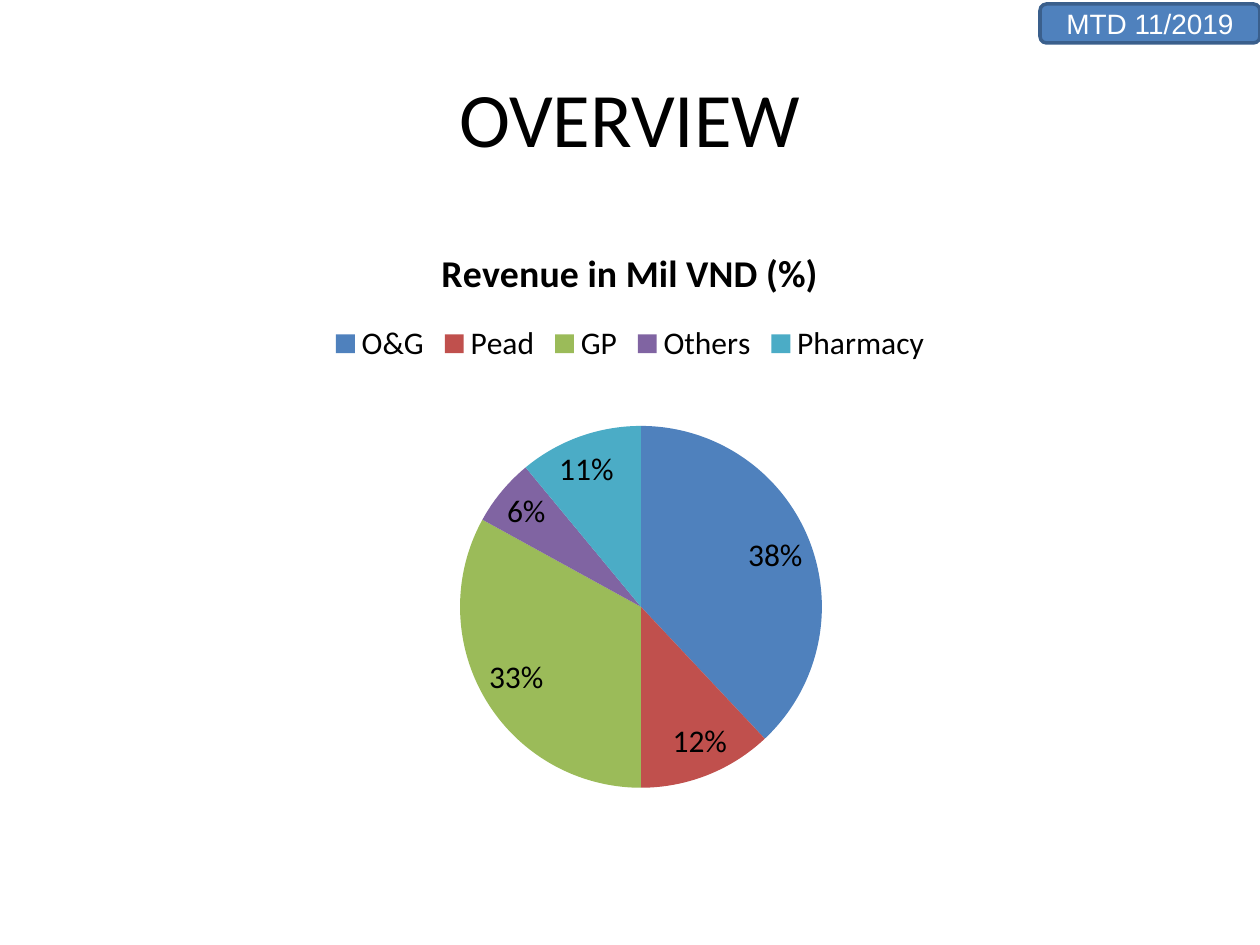
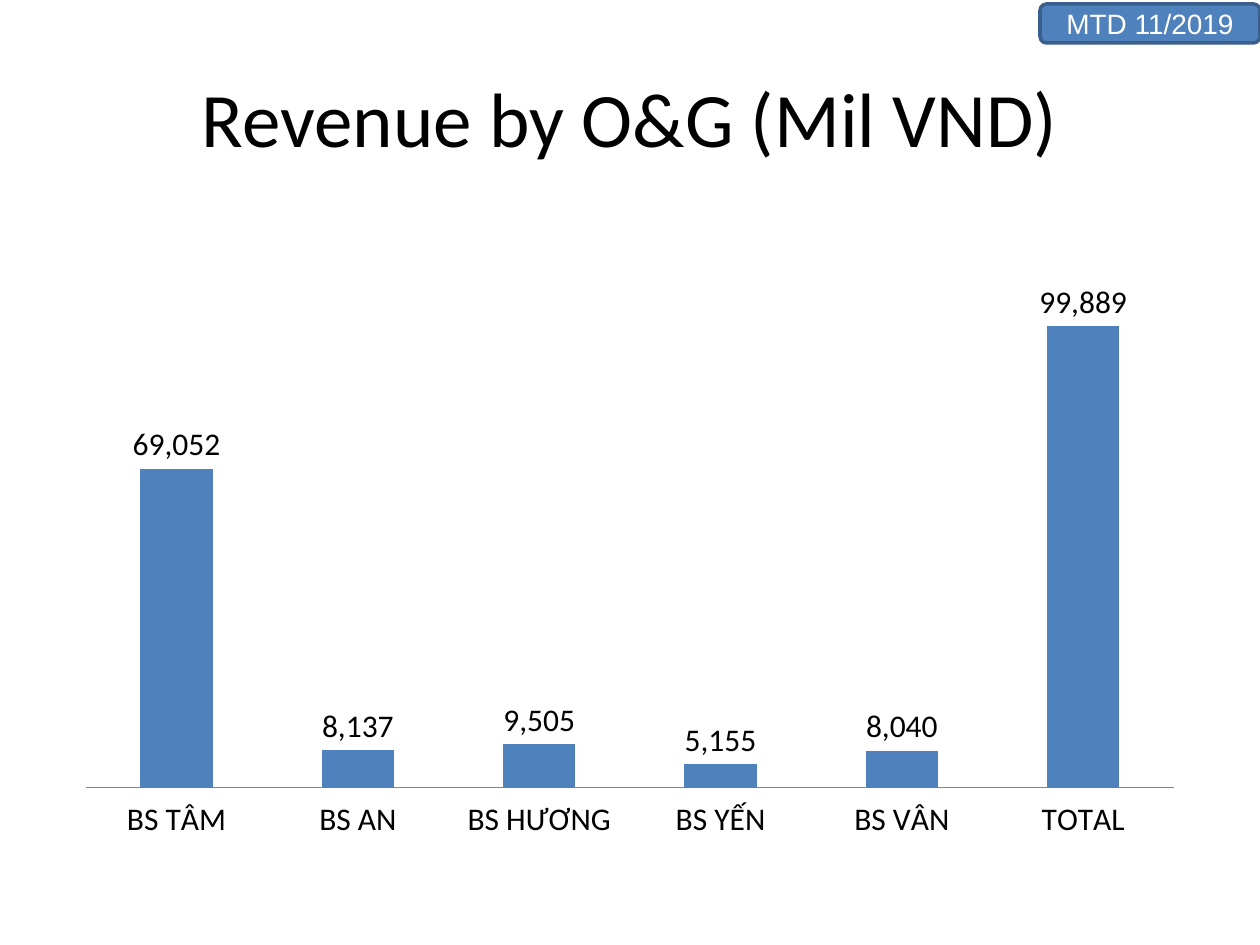
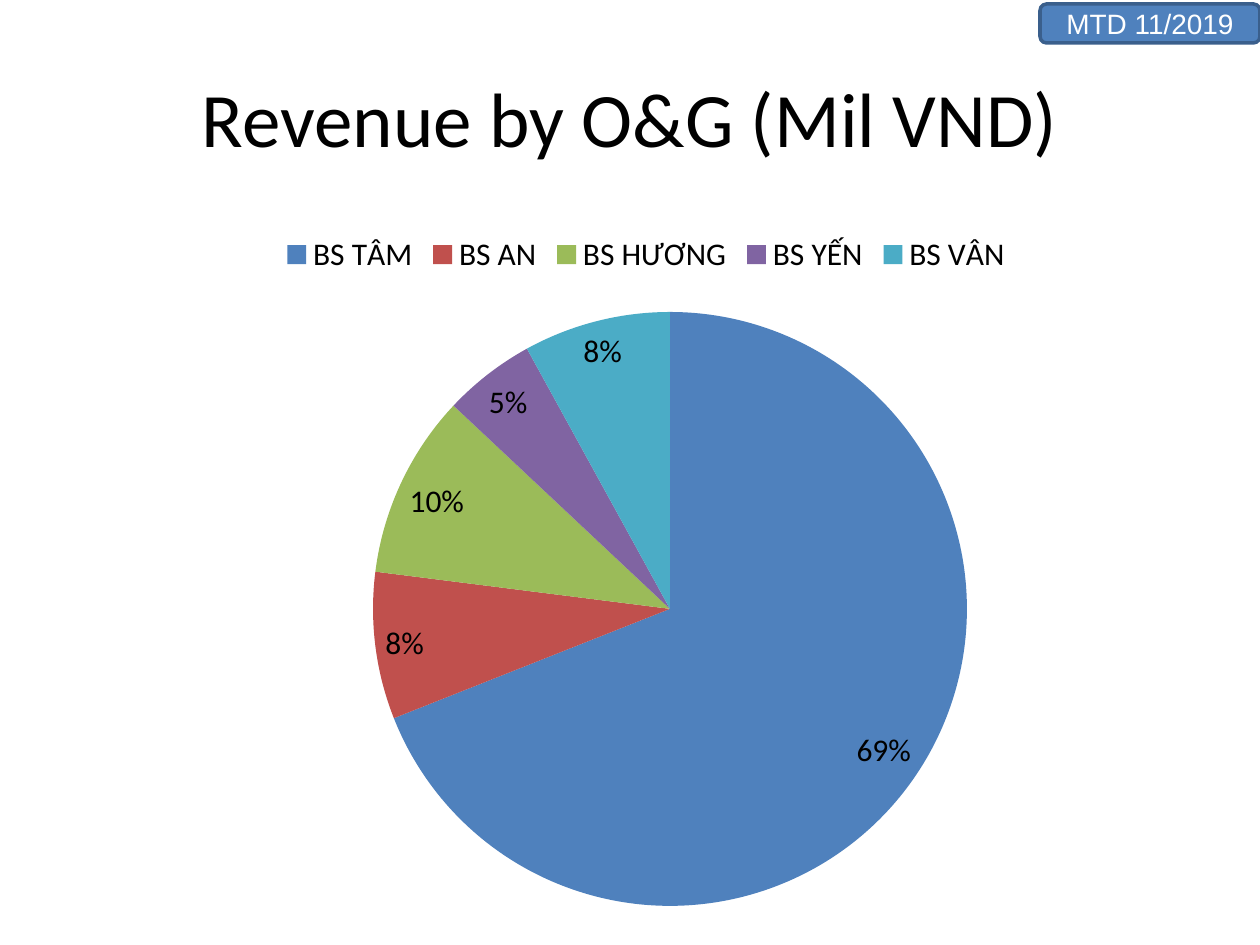
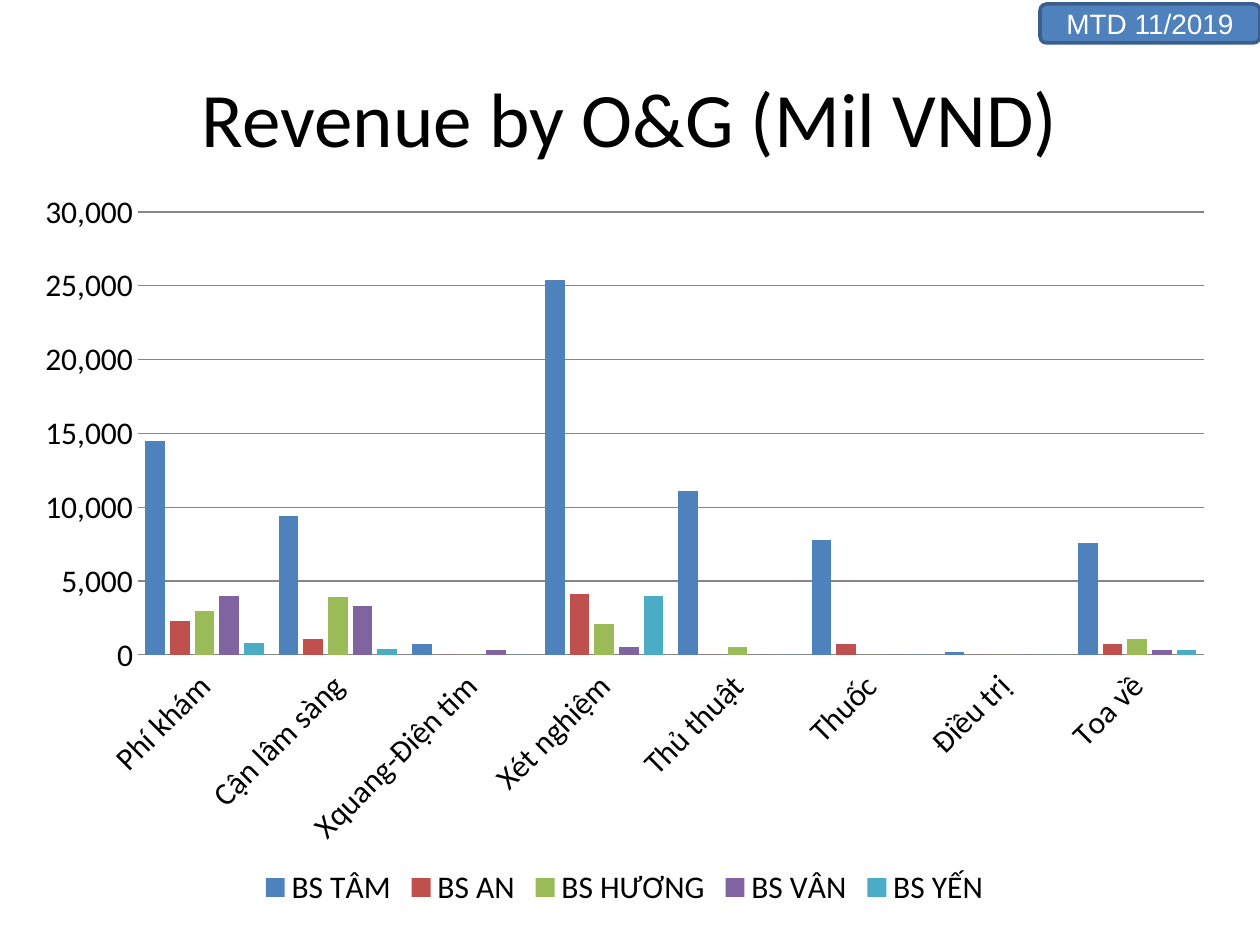
from lxml import etree
from pptx import Presentation
from pptx.chart.data import CategoryChartData
from pptx.dml.color import RGBColor
from pptx.enum.chart import XL_CHART_TYPE, XL_LABEL_POSITION, XL_LEGEND_POSITION, XL_TICK_LABEL_POSITION, XL_TICK_MARK
from pptx.enum.shapes import MSO_SHAPE
from pptx.enum.text import MSO_ANCHOR, PP_ALIGN
from pptx.oxml.ns import qn
from pptx.util import Emu, Pt

PIE = XL_CHART_TYPE.PIE
COLUMN = XL_CHART_TYPE.COLUMN_CLUSTERED
BEST_FIT = XL_LABEL_POSITION.BEST_FIT
OUTSIDE_END = XL_LABEL_POSITION.OUTSIDE_END
LEGEND_TOP = XL_LEGEND_POSITION.TOP
LEGEND_BOTTOM = XL_LEGEND_POSITION.BOTTOM
LABELS_LOW = XL_TICK_LABEL_POSITION.LOW
NO_TICK = XL_TICK_MARK.NONE
ROUNDED = MSO_SHAPE.ROUNDED_RECTANGLE
MIDDLE = MSO_ANCHOR.MIDDLE
CENTER = PP_ALIGN.CENTER

PIXEL = 914400 // 126
PALETTE = ["4F81BD", "C0504D", "9BBB59", "8064A2", "4BACC6"]
BLACK, WHITE, GREY, BADGE_LINE = "000000", "FFFFFF", "868686", "3A5F8C"
FONT, BADGE_FONT = "Calibri", "Arial"
THOUSANDS = "#,##0"
BADGE_BOX = (1040, 4, 220, 39)
TITLE_BOX = (63, 38, 1134, 157)
BODY_BOX = (63, 220, 1134, 624)
REVENUE_TITLE = "Revenue by O&G (Mil VND)"


def color(value):
    """Turn a hex string into a colour."""
    return RGBColor.from_string(value)


def place(box):
    """Turn a pixel box into EMU lengths."""
    return [Emu(length * PIXEL) for length in box]


def style_font(font, size, name=FONT, fill=BLACK, bold=False):
    """Set size, typeface, colour and weight of a font."""
    font.size, font.name, font.bold = Pt(size), name, bold
    font.color.rgb = color(fill)


def write_centered(shape, text, size, name, fill):
    """Write one centred line into a shape."""
    frame = shape.text_frame
    frame.word_wrap = True
    frame.vertical_anchor = MIDDLE
    paragraph = frame.paragraphs[0]
    paragraph.alignment = CENTER
    run = paragraph.add_run()
    run.text = text
    style_font(run.font, size, name, fill)


def add_badge(slide, box):
    """Draw the period badge."""
    badge = slide.shapes.add_shape(ROUNDED, *place(box))
    badge.shadow.inherit = False
    badge.fill.solid()
    badge.fill.fore_color.rgb = color(PALETTE[0])
    badge.line.color.rgb = color(BADGE_LINE)
    badge.line.width = Pt(2)
    write_centered(badge, "MTD 11/2019", 16, BADGE_FONT, WHITE)


def start_slide(presentation, title):
    """Add a slide with its badge and title."""
    slide = presentation.slides.add_slide(presentation.slide_layouts[6])
    add_badge(slide, BADGE_BOX)
    write_centered(slide.shapes.add_textbox(*place(TITLE_BOX)), title, 44, FONT, BLACK)
    return slide


def set_plot_box(chart, box, plot):
    """Fix the inner plot area, given relative to the chart box."""
    area = chart.plots[0]._element.getparent()
    for old in area.findall(qn("c:layout")):
        area.remove(old)
    layout = etree.Element(qn("c:layout"))
    area.insert(0, layout)
    manual = etree.SubElement(layout, qn("c:manualLayout"))
    sizes = (box[2], box[3]) * 2
    settings = [("layoutTarget", "inner"), ("xMode", "edge"), ("yMode", "edge")]
    settings += [(key, f"{length / size:.4f}") for key, length, size in zip("xywh", plot, sizes)]
    for key, value in settings:
        etree.SubElement(manual, qn(f"c:{key}")).set("val", value)


def add_chart(slide, kind, box, plot, categories, series, legend=None):
    """Add a chart with shared font, legend and plot box."""
    data = CategoryChartData(number_format=THOUSANDS)
    data.categories = categories
    for name, values in series:
        data.add_series(name, values)
    chart = slide.shapes.add_chart(kind, *place(box), data).chart
    style_font(chart.font, 18)
    chart.has_title = False
    chart.has_legend = legend is not None
    if legend is not None:
        chart.legend.position = legend
        chart.legend.include_in_layout = False
    set_plot_box(chart, box, plot)
    return chart


def add_labels(plot, number_format, position):
    """Show data labels on a plot."""
    plot.has_data_labels = True
    labels = plot.data_labels
    labels.number_format = number_format
    labels.number_format_is_linked = False
    labels.position = position
    style_font(labels.font, 18)
    return labels


def add_pie(slide, box, plot, categories, values, title=None):
    """Add a pie of shares with percent labels."""
    chart = add_chart(slide, PIE, box, plot, categories, [("Series 1", values)], LEGEND_TOP)
    pie = chart.plots[0]
    pie.vary_by_categories = True
    for index, fill in enumerate(PALETTE):
        point = pie.series[0].points[index].format.fill
        point.solid()
        point.fore_color.rgb = color(fill)
    labels = add_labels(pie, "0%", BEST_FIT)
    labels.show_percentage = True
    labels.show_value = False
    if title:
        chart.has_title = True
        run = chart.chart_title.text_frame.paragraphs[0].add_run()
        run.text = title
        style_font(run.font, 21.6, bold=True)


def add_columns(slide, box, plot, categories, series, top, gap, legend=None):
    """Add clustered columns on a scale from zero to top."""
    chart = add_chart(slide, COLUMN, box, plot, categories, series, legend)
    columns = chart.plots[0]
    columns.vary_by_categories = False
    columns.gap_width, columns.overlap = gap, -25
    for group, fill in zip(columns.series, PALETTE):
        group.format.fill.solid()
        group.format.fill.fore_color.rgb = color(fill)
    chart.category_axis.major_tick_mark = NO_TICK
    chart.category_axis.tick_label_position = LABELS_LOW
    chart.category_axis.format.line.color.rgb = color(GREY)
    axis = chart.value_axis
    axis.minimum_scale, axis.maximum_scale = 0, top
    axis.major_tick_mark = NO_TICK
    axis.has_major_gridlines = False
    return chart


def add_total_columns(slide, box, plot, categories, values):
    """Add labelled columns without a value axis."""
    chart = add_columns(slide, box, plot, categories, [("Series 1", values)], 120000, 150)
    chart.value_axis.visible = False
    add_labels(chart.plots[0], THOUSANDS, OUTSIDE_END).show_value = True


def add_service_columns(slide, box, plot, categories, series):
    """Add columns by service with gridlines and slanted names."""
    chart = add_columns(slide, box, plot, categories, series, 30000, 75, LEGEND_BOTTOM)
    axis = chart.value_axis
    axis.major_unit = 5000
    axis.has_major_gridlines = True
    axis.major_gridlines.format.line.color.rgb = color(GREY)
    axis.format.line.fill.background()
    axis.tick_labels.number_format = THOUSANDS
    axis.tick_labels.number_format_is_linked = False
    style_font(chart.category_axis.tick_labels.font, 18)
    chart.category_axis._element.find(qn("c:txPr")).find(qn("a:bodyPr")).set("rot", "-2700000")


def main():
    """Build the four slides and save them."""
    presentation = Presentation()
    presentation.slide_width, presentation.slide_height = place((1260, 945))
    doctors = ["BS TÂM", "BS AN", "BS HƯƠNG", "BS YẾN", "BS VÂN"]

    slide = start_slide(presentation, "OVERVIEW")
    departments = ["O&G", "Pead", "GP", "Others", "Pharmacy"]
    add_pie(slide, BODY_BOX, (397, 206, 362, 362), departments, [38, 12, 33, 6, 11], "Revenue in Mil VND (%)")

    slide = start_slide(presentation, REVENUE_TITLE)
    totals = [69052, 8137, 9505, 5155, 8040, 99889]
    add_total_columns(slide, BODY_BOX, (23, 13, 1088, 555), doctors + ["TOTAL"], totals)

    slide = start_slide(presentation, REVENUE_TITLE)
    add_pie(slide, (63, 220, 1166, 703), (310, 92, 594, 594), doctors, [69, 8, 10, 5, 8])

    slide = start_slide(presentation, REVENUE_TITLE)
    services = ["Phí khám", "Cận lâm sàng", "Xquang-Điện tim", "Xét nghiệm",
                "Thủ thuật", "Thuốc", "Điều trị", "Toa về"]
    revenue = [
        ("BS TÂM", [14500, 9400, 700, 25400, 11100, 7800, 200, 7600]),
        ("BS AN", [2300, 1100, 0, 4100, 0, 700, 0, 700]),
        ("BS HƯƠNG", [3000, 3900, 0, 2100, 500, 0, 0, 1100]),
        ("BS VÂN", [4000, 3300, 300, 500, 0, 0, 0, 300]),
        ("BS YẾN", [800, 400, 0, 4000, 0, 0, 0, 300]),
    ]
    add_service_columns(slide, (21, 179, 1207, 734), (117, 33, 1066, 443), services, revenue)

    presentation.save("out.pptx")


main()
